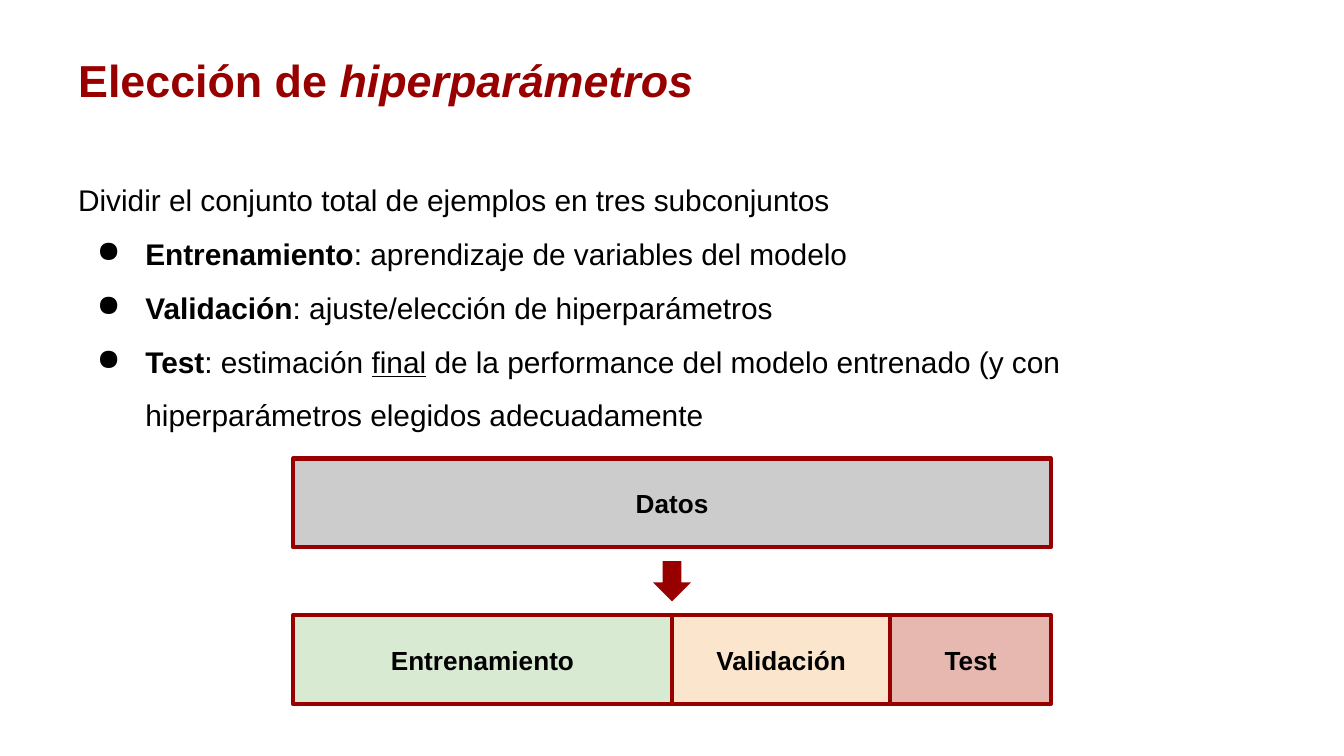
from dataclasses import dataclass

from lxml import etree
from pptx import Presentation
from pptx.dml.color import RGBColor
from pptx.enum.shapes import MSO_SHAPE
from pptx.enum.text import MSO_ANCHOR, PP_ALIGN
from pptx.oxml.ns import qn
from pptx.util import Pt

RECTANGLE = MSO_SHAPE.RECTANGLE
DOWN_ARROW = MSO_SHAPE.DOWN_ARROW
MIDDLE = MSO_ANCHOR.MIDDLE
CENTER = PP_ALIGN.CENTER


@dataclass(frozen=True)
class Theme:
    font: str = "Arial"
    accent: str = "980000"
    text: str = "000000"
    data: str = "CCCCCC"
    training: str = "D9EAD3"
    validation: str = "FCE5CD"
    test: str = "E6B8AF"
    title_size: float = 24
    body_size: float = 16
    label_size: float = 14
    border: float = 2.25
    inset: float = 7.2


class SlideBuilder:
    def __init__(self, slide, theme):
        self.slide = slide
        self.theme = theme

    def set_insets(self, frame):
        frame.word_wrap = True
        frame.margin_left = frame.margin_right = Pt(self.theme.inset)
        frame.margin_top = frame.margin_bottom = Pt(self.theme.inset)

    def text_box(self, left, top, width, height):
        box = self.slide.shapes.add_textbox(Pt(left), Pt(top), Pt(width), Pt(height))
        self.set_insets(box.text_frame)
        return box.text_frame

    def run(self, paragraph, text, size, color, style=""):
        """Add one run; style holds any of b, i and u."""
        run = paragraph.add_run()
        run.text = text
        font = run.font
        font.name, font.size = self.theme.font, Pt(size)
        font.color.rgb = RGBColor.from_string(color)
        font.bold, font.italic, font.underline = (key in style for key in "biu")

    def body(self, paragraph, runs, space_before=0):
        paragraph.line_spacing = 1.5
        paragraph.space_before = Pt(space_before)
        for text, style in runs:
            self.run(paragraph, text, self.theme.body_size, self.theme.text, style)

    def bullet(self, paragraph, runs):
        self.body(paragraph, runs)
        properties = paragraph._p.get_or_add_pPr()
        properties.set("marL", str(Pt(36)))
        properties.set("indent", str(Pt(-26)))
        color = etree.SubElement(properties, qn("a:buClr"))
        etree.SubElement(color, qn("a:srgbClr"), val=self.theme.text)
        etree.SubElement(properties, qn("a:buChar"), char="●")

    def shape(self, kind, left, top, width, height, fill):
        shape = self.slide.shapes.add_shape(kind, Pt(left), Pt(top), Pt(width), Pt(height))
        shape.shadow.inherit = False
        shape.fill.solid()
        shape.fill.fore_color.rgb = RGBColor.from_string(fill)
        shape.line.fill.background()
        return shape

    def block(self, label, left, top, width, height, fill):
        shape = self.shape(RECTANGLE, left, top, width, height, fill)
        shape.line.color.rgb = RGBColor.from_string(self.theme.accent)
        shape.line.width = Pt(self.theme.border)
        frame = shape.text_frame
        self.set_insets(frame)
        frame.vertical_anchor = MIDDLE
        paragraph = frame.paragraphs[0]
        paragraph.alignment = CENTER
        self.run(paragraph, label, self.theme.label_size, self.theme.text, "b")


def main():
    presentation = Presentation()
    presentation.slide_width, presentation.slide_height = Pt(720), Pt(405)
    theme = Theme()
    slide = presentation.slides.add_slide(presentation.slide_layouts[6])
    builder = SlideBuilder(slide, theme)

    # Title and explanation
    frame = builder.text_box(34.8, 21, 579, 363)
    title = frame.paragraphs[0]
    for text, style in (("Elección de ", "b"), ("hiperparámetros", "bi")):
        builder.run(title, text, theme.title_size, theme.accent, style)
    builder.body(
        frame.add_paragraph(),
        [("Dividir el conjunto total de ejemplos en tres subconjuntos", "")],
        space_before=31,
    )
    bullets = [
        [("Entrenamiento", "b"), (": aprendizaje de variables del modelo", "")],
        [("Validación", "b"), (": ajuste/elección de hiperparámetros", "")],
        [
            ("Test", "b"),
            (": estimación ", ""),
            ("final", "u"),
            (" de la performance del modelo entrenado (y con "
             "hiperparámetros elegidos adecuadamente", ""),
        ],
    ]
    for runs in bullets:
        builder.bullet(frame.add_paragraph(), runs)

    # Full data set above, its three subsets below
    subsets = [
        ("Entrenamiento", 203, theme.training),
        ("Validación", 117, theme.validation),
        ("Test", 86, theme.test),
    ]
    left, data_top, subset_top, height = 157, 245.6, 329.6, 47.6
    total = sum(width for _, width, _ in subsets)
    builder.block("Datos", left, data_top, total, height, theme.data)
    subset_left = left
    for label, width, fill in subsets:
        builder.block(label, subset_left, subset_top, width, height, fill)
        subset_left += width

    # Arrow centred in the gap between the rows
    arrow_width, arrow_height = 20.2, 21.6
    arrow_left = left + (total - arrow_width) / 2
    arrow_top = (data_top + height + subset_top - arrow_height) / 2
    builder.shape(DOWN_ARROW, arrow_left, arrow_top, arrow_width, arrow_height, theme.accent)

    presentation.save("out.pptx")


if __name__ == "__main__":
    main()
